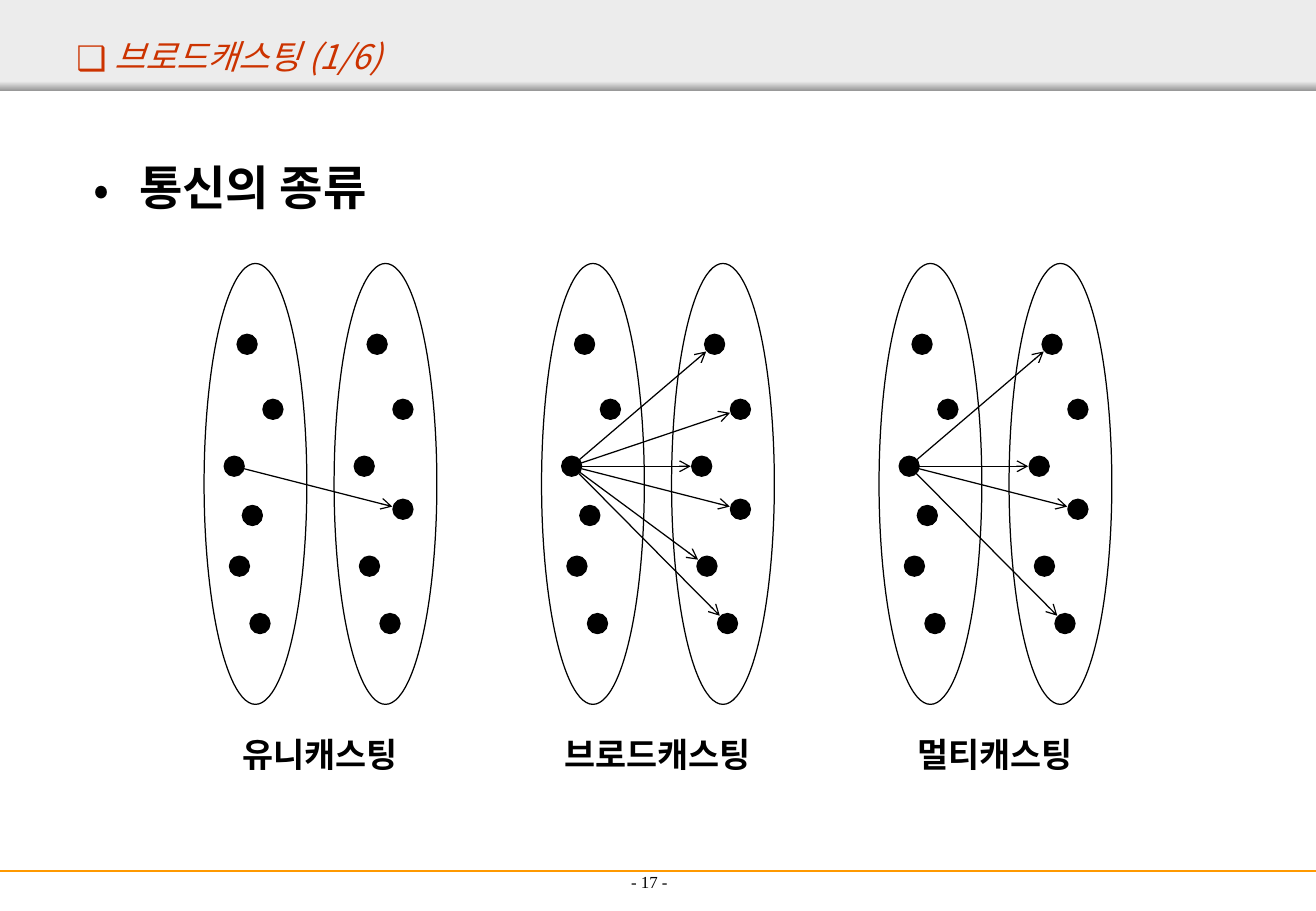
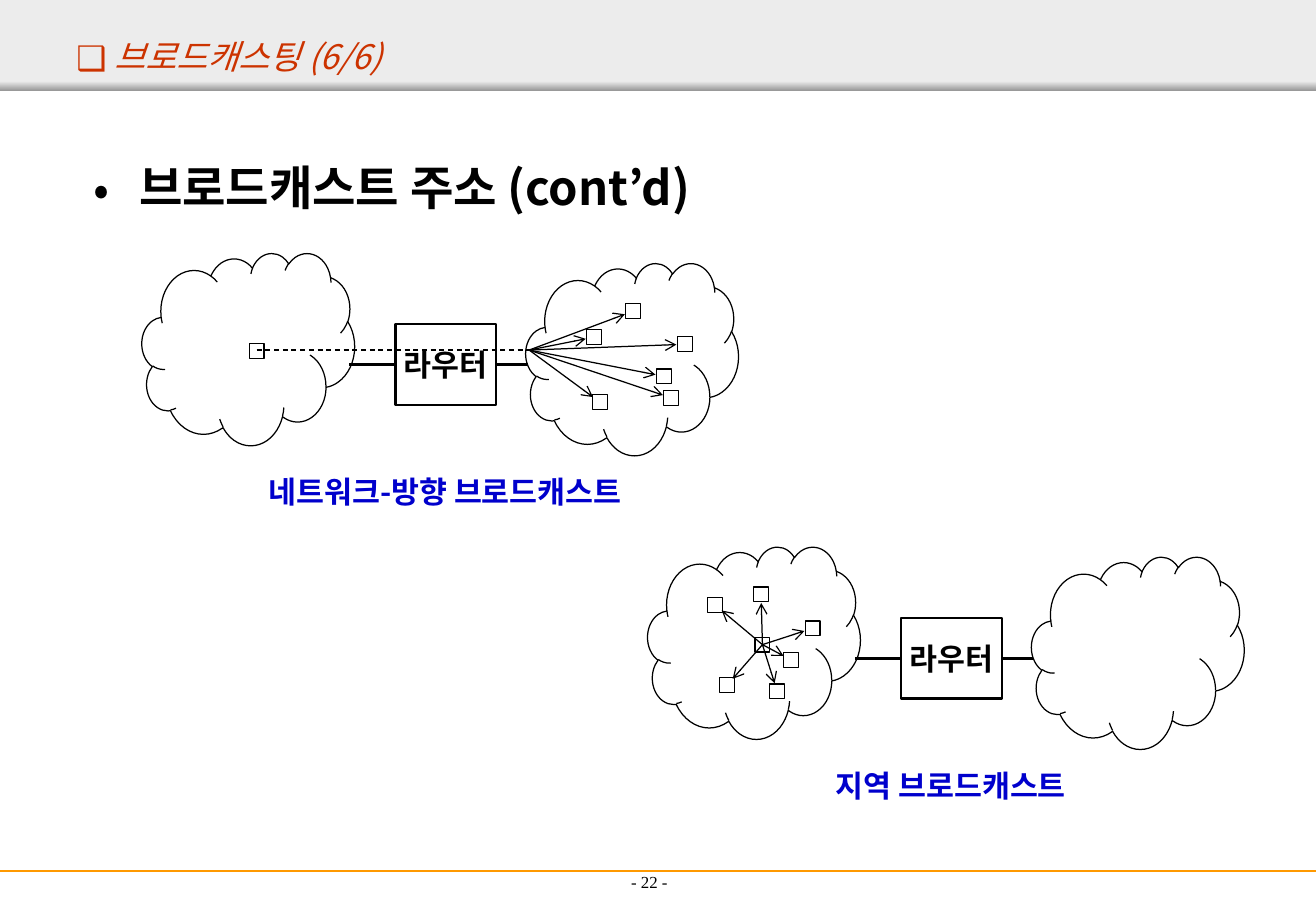
import math
import pptx
import pptx.util
import pptx.dml.color
import pptx.enum.dml
import pptx.enum.shapes
import pptx.enum.text
import pptx.oxml.ns
from lxml import etree

Cm, Pt = pptx.util.Cm, pptx.util.Pt
qn = pptx.oxml.ns.qn
SHAPE = pptx.enum.shapes.MSO_SHAPE
ALIGN = pptx.enum.text.PP_ALIGN
ANCHOR = pptx.enum.text.MSO_ANCHOR

COLORS = {"black": "000000", "title": "CC3300", "caption": "0000CC",
          "band": "ECECEC", "band_edge": "979797", "rule": "FF9900"}
SANS, SERIF = "Noto Sans CJK KR", "Times New Roman"
WIDTH, HEIGHT = 27.53, 19.05

# Casting types: label and the receiving dots reached
CASTINGS = [("유니캐스팅", [3]),
            ("브로드캐스팅", [0, 1, 2, 3, 4, 5]),
            ("멀티캐스팅", [0, 2, 3, 5])]
PANEL_LEFT, PANEL_TOP, PANEL_STEP = 4.27, 5.51, 7.06
OVAL_WIDTH, OVAL_HEIGHT, OVAL_STEP = 2.15, 9.22, 2.72
DOT_SIZE = 0.42
# Dot centres, measured from the corner of their oval
SENDER_DOTS = [(0.9, 1.69), (1.44, 3.05), (0.63, 4.24),
               (1.01, 5.27), (0.74, 6.33), (1.17, 7.53)]
RECEIVER_DOTS = SENDER_DOTS[:3] + [(1.44, 5.14)] + SENDER_DOTS[4:]
SENDER = 2

# Router networks; points are measured from the corner of the left cloud
HOST = (2.4, 2.05)
GATE = (8.1, 2.03)
NETWORKS = [
    {"caption": "네트워크-방향 브로드캐스트", "corner": (2.97, 5.29),
     "source": GATE, "dashed": True,
     "receivers": [(10.27, 1.22), (9.46, 1.76), (11.36, 1.91),
                   (10.92, 2.58), (11.07, 3.03), (9.58, 3.12)]},
    {"caption": "지역 브로드캐스트", "corner": (13.55, 11.43),
     "source": HOST, "dashed": False,
     "receivers": [(1.41, 1.22), (2.37, 1), (3.45, 1.71),
                   (3, 2.37), (2.71, 3.03), (1.66, 2.9)]},
]
CLOUD_SIZE = (4.45, 4.02)
FAR_CLOUD = (8.03, 0.21)
ROUTER = (5.3, 1.49, 2.11, 1.69)
HOST_SIZE = 0.31


def rgb(name):
    return pptx.dml.color.RGBColor.from_string(COLORS[name])


def shift(point, origin):
    return point[0] + origin[0], point[1] + origin[1]


def write(box, text, size, color="black", font=SANS, bold=False, italic=False,
          align=ALIGN.LEFT, anchor=ANCHOR.MIDDLE, wrap=True,
          bullet=None, indent=0, before=0):
    frame = box.text_frame
    frame.word_wrap = wrap
    frame.vertical_anchor = anchor
    para = frame.paragraphs[0]
    para.alignment = align
    para.space_before = Pt(before)
    if bullet:
        props = para._p.get_or_add_pPr()
        props.set("marL", str(Cm(indent)))
        props.set("indent", str(-Cm(indent)))
        etree.SubElement(props, qn("a:buFont"), typeface=SANS)
        etree.SubElement(props, qn("a:buChar"), char=bullet)
    span = para.add_run()
    span.text = text
    span.font.size, span.font.name = Pt(size), font
    span.font.bold, span.font.italic = bold, italic
    span.font.color.rgb = rgb(color)
    etree.SubElement(span._r.get_or_add_rPr(), qn("a:ea"), typeface=font)


def add_text(page, left, top, width, height, text, size, **style):
    box = page.shapes.add_textbox(Cm(left), Cm(top), Cm(width), Cm(height))
    write(box, text, size, **style)


def add_shape(page, kind, left, top, width, height, fill=None, line=None):
    """Add a preset shape; fill is a colour name, line a width in points."""
    shape = page.shapes.add_shape(kind, Cm(left), Cm(top), Cm(width), Cm(height))
    shape.shadow.inherit = False
    if fill:
        shape.fill.solid()
        shape.fill.fore_color.rgb = rgb(fill)
    else:
        shape.fill.background()
    if line:
        shape.line.width = Pt(line)
        shape.line.color.rgb = rgb("black")
    else:
        shape.line.fill.background()
    return shape


def add_centred(page, kind, center, size, fill=None):
    add_shape(page, kind, center[0] - size / 2, center[1] - size / 2,
              size, size, fill, line=0.75)


def add_line(page, start, end, width=0.75, color="black", arrow=False, dashed=False):
    line = page.shapes.add_connector(
        pptx.enum.shapes.MSO_CONNECTOR.STRAIGHT, *map(Cm, (*start, *end)))
    line.line.width = Pt(width)
    line.line.color.rgb = rgb(color)
    if dashed:
        line.line.dash_style = pptx.enum.dml.MSO_LINE.DASH
    props = line._element.spPr
    if arrow:
        etree.SubElement(props.find(qn("a:ln")), qn("a:tailEnd"), type="arrow")
    etree.SubElement(props, qn("a:effectLst"))
    return line


def add_arrow(page, start, end, start_gap, end_gap):
    """Arrow between two centres that leaves a gap at each of them."""
    dx, dy = end[0] - start[0], end[1] - start[1]
    length = math.hypot(dx, dy)
    first, last = start_gap / length, 1 - end_gap / length
    add_line(page, (start[0] + dx * first, start[1] + dy * first),
             (start[0] + dx * last, start[1] + dy * last), arrow=True)


def add_page(deck, title, heading, number):
    """Add a slide with the shared band, rule, title, heading and number."""
    page = deck.slides.add_slide(deck.slide_layouts[6])
    add_shape(page, SHAPE.RECTANGLE, 0, 0, WIDTH, 1.9, fill="band")
    edge = add_shape(page, SHAPE.RECTANGLE, 0, 1.7, WIDTH, 0.2)
    edge.fill.gradient()
    edge.fill.gradient_angle = 270
    for stop, color in zip(edge.fill.gradient_stops, ("band", "band_edge")):
        stop.color.rgb = rgb(color)
    add_line(page, (0, 18.21), (WIDTH, 18.21), width=1.5, color="rule")
    add_text(page, 9.37, 17.5, 8.43, 1.27, f"- {number} -", 10, font=SERIF,
             align=ALIGN.CENTER, anchor=ANCHOR.BOTTOM)
    add_text(page, 1.35, 0.63, 26.18, 1.07, title, 20, color="title",
             italic=True, bullet="❑")
    add_text(page, 1.7, 3.18, 24.13, 13.82, heading, 28, bold=True,
             anchor=ANCHOR.TOP, bullet="•", indent=0.96, before=7)
    return page


def draw_casting(page, left, label, targets):
    near, far = (left, PANEL_TOP), (left + OVAL_STEP, PANEL_TOP)
    for corner, dots in ((near, SENDER_DOTS), (far, RECEIVER_DOTS)):
        add_shape(page, SHAPE.OVAL, *corner, OVAL_WIDTH, OVAL_HEIGHT, line=0.75)
        for dot in dots:
            add_centred(page, SHAPE.OVAL, shift(dot, corner), DOT_SIZE, fill="black")
    for target in targets:
        add_arrow(page, shift(SENDER_DOTS[SENDER], near),
                  shift(RECEIVER_DOTS[target], far), DOT_SIZE / 2, 0.23)
    add_text(page, left - 1.09, 15.01, 7.04, 1.5, label, 20, bold=True,
             align=ALIGN.CENTER, wrap=False)


def draw_network(page, network):
    corner = network["corner"]
    for cloud in ((0, 0), FAR_CLOUD):
        add_shape(page, SHAPE.CLOUD, *shift(cloud, corner), *CLOUD_SIZE, line=0.75)
    for host in [HOST] + network["receivers"]:
        add_centred(page, SHAPE.RECTANGLE, shift(host, corner), HOST_SIZE)

    left, top, width, height = ROUTER
    router = add_shape(page, SHAPE.RECTANGLE, *shift((left, top), corner),
                       width, height, line=1.5)
    write(router, "라우터", 18, bold=True, align=ALIGN.CENTER, wrap=False)
    middle = top + height / 2
    link = add_line(page, shift((4.34, middle), corner),
                    shift((left, middle), corner), width=1.5)
    link.end_connect(router, 1)
    link = add_line(page, shift((left + width, middle), corner),
                    shift((8.07, middle), corner), width=1.5)
    link.begin_connect(router, 3)

    if network["dashed"]:
        add_line(page, shift((HOST[0], GATE[1]), corner), shift(GATE, corner),
                 dashed=True)
    for receiver in network["receivers"]:
        add_arrow(page, shift(network["source"], corner),
                  shift(receiver, corner), 0, 0.18)
    add_text(page, *shift((1.68, 4.45), corner), 9.32, 1.07, network["caption"], 18,
             color="caption", bold=True, align=ALIGN.CENTER, wrap=False)


def main():
    deck = pptx.Presentation()
    deck.slide_width, deck.slide_height = Cm(WIDTH), Cm(HEIGHT)

    page = add_page(deck, " 브로드캐스팅 (1/6)", "통신의 종류", 17)
    for index, (label, targets) in enumerate(CASTINGS):
        draw_casting(page, PANEL_LEFT + index * PANEL_STEP, label, targets)

    page = add_page(deck, " 브로드캐스팅 (6/6)", "브로드캐스트 주소 (cont’d)", 22)
    for network in NETWORKS:
        draw_network(page, network)

    deck.save("out.pptx")


if __name__ == "__main__":
    main()
